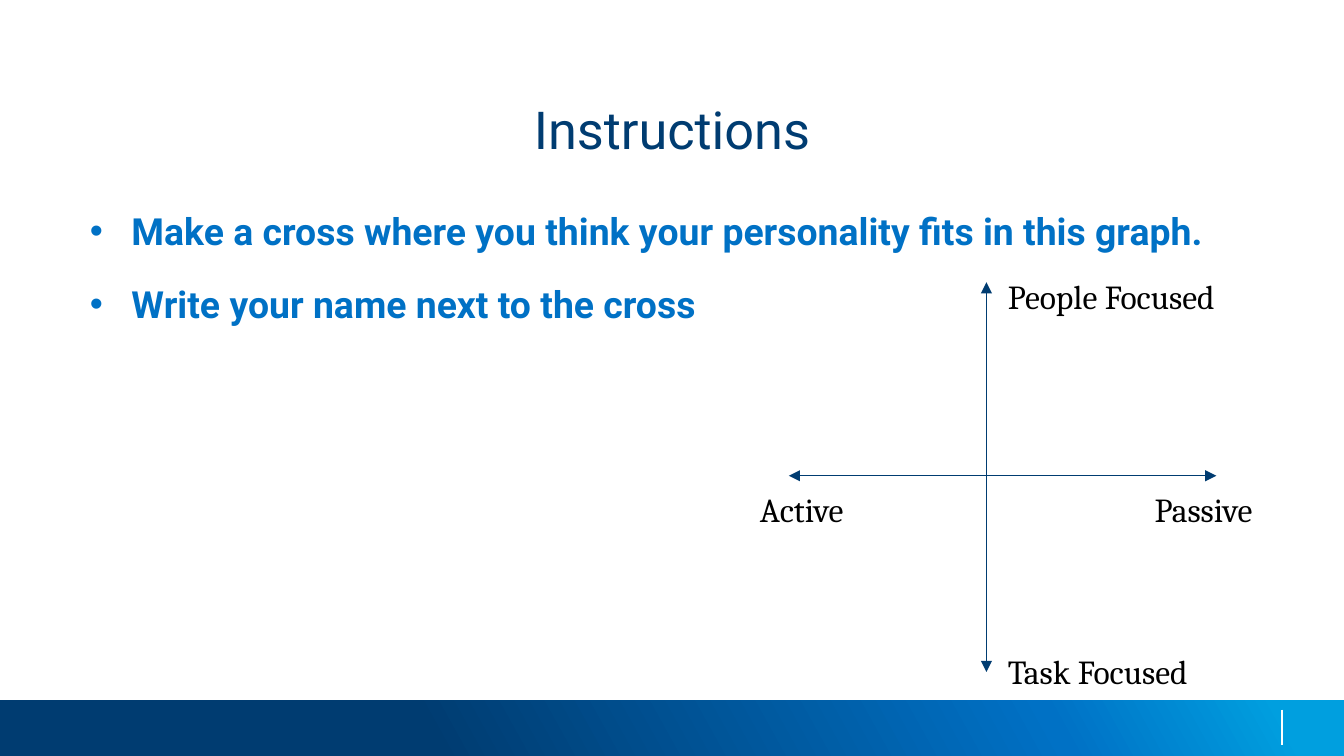
from lxml import etree
from pptx import Presentation
from pptx.dml.color import RGBColor
from pptx.enum import shapes, text
from pptx.oxml import ns
from pptx.util import Inches, Pt

THEME = dict(navy="003C71", blue="0071C5", sky="009FDF", white="FFFFFF", black="000000",
             sans="Roboto", serif="Cambria", title=28, body=20, label=18, line=0.75)
LEFT, MID = text.PP_ALIGN.LEFT, text.PP_ALIGN.CENTER

TITLE = "Instructions"
STEPS = ["Make a cross where you think your personality fits in this graph.",
         "Write your name next to the cross"]
STOPS = [(32, "navy"), (78, "blue"), (95, "sky")]
AXES = [(7.34, 5, 7.34, 2.1), (5.87, 3.54, 9.05, 3.54)]
LABELS = [("People Focused", 7.4, 1.95, LEFT), ("Task Focused", 7.4, 4.74, LEFT),
          ("Passive", 8.08, 3.54, MID), ("Active", 5.09, 3.54, MID)]


def color(name):
    return RGBColor.from_string(THEME[name])


def child(node, tag, **attrs):
    return etree.SubElement(node, ns.qn(tag), attrs)


def add_text(slide, box, lines, font, size, tint, align=LEFT,
             anchor=text.MSO_ANCHOR.TOP, bold=False, bullet=False):
    frame = slide.shapes.add_textbox(*map(Inches, box)).text_frame
    frame.word_wrap = True
    frame.vertical_anchor = anchor
    frame.margin_left = frame.margin_right = Inches(0.1)
    frame.margin_top = frame.margin_bottom = Inches(0.1)
    for i, line in enumerate(lines):
        para = frame.paragraphs[0] if i == 0 else frame.add_paragraph()
        para.alignment = align
        if bullet:
            para.line_spacing = 1.38
            if i:
                para.space_before = Pt(6)
            props = para._p.get_or_add_pPr()
            props.set("marL", str(Inches(0.38)))
            props.set("indent", str(Inches(-0.31)))
            child(props, "a:buFont", typeface="Arial")
            child(props, "a:buChar", char="•")
        run = para.add_run()
        run.text = line
        run.font.name = THEME[font]
        run.font.size = Pt(THEME[size])
        run.font.bold = bold
        run.font.color.rgb = color(tint)


def add_line(slide, ends, tint, arrows=False):
    line = slide.shapes.add_connector(shapes.MSO_CONNECTOR.STRAIGHT, *map(Inches, ends))
    line.line.color.rgb = color(tint)
    line.line.width = Pt(THEME["line"])
    if arrows:
        for tag in ("a:headEnd", "a:tailEnd"):
            child(line.line._get_or_add_ln(), tag, type="triangle")
    child(line._element.spPr, "a:effectLst")


def add_band(slide):
    band = slide.shapes.add_shape(shapes.MSO_SHAPE.RECTANGLE,
                                  *map(Inches, (0, 5.21, 10, 0.42)))
    band.shadow.inherit = False
    band.line.fill.background()
    band.fill.gradient()
    grad = band._element.spPr.find(ns.qn("a:gradFill"))
    for node in list(grad):
        grad.remove(node)
    stops = child(grad, "a:gsLst")
    for pos, tint in STOPS:
        stop = child(stops, "a:gs", pos=str(pos * 1000))
        child(stop, "a:srgbClr", val=THEME[tint])
    child(grad, "a:lin", ang=str(331 * 60000), scaled="0")


def main():
    deck = Presentation()
    deck.slide_width = Inches(10)
    deck.slide_height = deck.slide_width * 9 // 16
    slide = deck.slides.add_slide(deck.slide_layouts[6])
    add_band(slide)
    add_line(slide, (9.54, 5.28, 9.54, 5.54), "white")
    add_text(slide, (0.5, 0.34, 9, 0.95), [TITLE], "sans", "title", "navy",
             MID, text.MSO_ANCHOR.BOTTOM)
    add_text(slide, (0.5, 1.32, 9, 3.75), STEPS, "sans", "body", "blue",
             bold=True, bullet=True)
    for ends in AXES:
        add_line(slide, ends, "navy", arrows=True)
    for label, left, top, align in LABELS:
        add_text(slide, (left, top, 1.75, 0.41), [label], "serif", "label", "black", align)
    deck.save("out.pptx")


if __name__ == "__main__":
    main()
